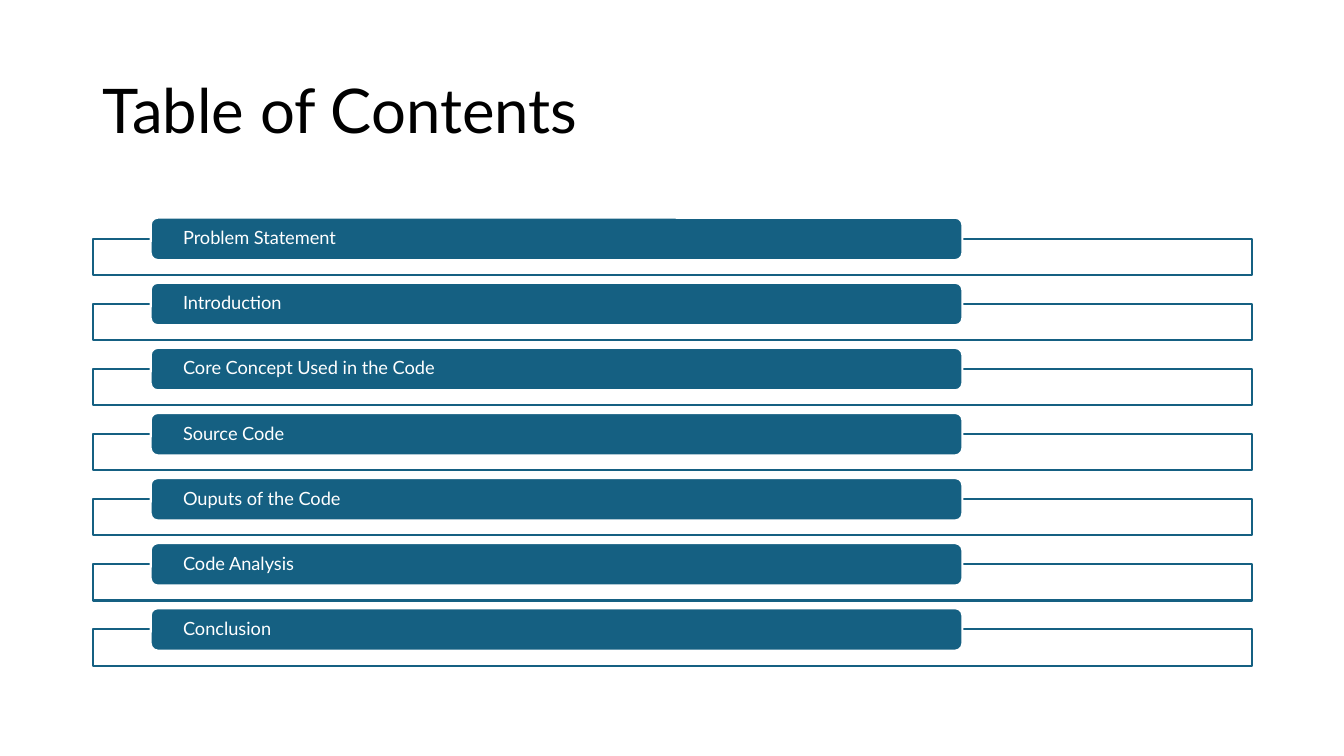
from lxml import etree
from pptx import Presentation
from pptx.dml.color import RGBColor
from pptx.enum.shapes import MSO_SHAPE
from pptx.enum.text import MSO_ANCHOR, MSO_AUTO_SIZE, PP_ALIGN
from pptx.oxml.ns import qn
from pptx.util import Inches, Pt

RECT = MSO_SHAPE.RECTANGLE
ROUNDED = MSO_SHAPE.ROUNDED_RECTANGLE
MIDDLE = MSO_ANCHOR.MIDDLE
LEFT = PP_ALIGN.LEFT
NO_AUTOFIT = MSO_AUTO_SIZE.NONE

BLUE = RGBColor(0x15, 0x60, 0x82)
WHITE = RGBColor(0xFF, 0xFF, 0xFF)
BLACK = RGBColor(0x00, 0x00, 0x00)
FONT = "Lato"
TITLE_LAYOUT = 5

TOPICS = [
    "Problem Statement",
    "Introduction",
    "Core Concept Used in the Code",
    "Source Code",
    "Ouputs of the Code",
    "Code Analysis",
    "Conclusion",
]


def write_text(sp, text, size, color):
    tf = sp.text_frame
    tf.word_wrap = True
    tf.auto_size = NO_AUTOFIT
    tf.vertical_anchor = MIDDLE
    p = tf.paragraphs[0]
    p.alignment = LEFT
    p.line_spacing = 0.9
    r = p.add_run()
    r.text = text
    r.font.name = FONT
    r.font.size = Pt(size)
    r.font.color.rgb = color
    return tf


def add_box(slide, kind, left, top, width, height, fill, line):
    sp = slide.shapes.add_shape(
        kind, Inches(left), Inches(top), Inches(width), Inches(height)
    )
    sp.shadow.inherit = False
    sp.fill.solid()
    sp.fill.fore_color.rgb = fill
    sp.line.color.rgb = line
    sp.line.width = Pt(1.5)
    return sp


def set_opacity(sp, percent):
    color = sp.fill._xPr.find(qn("a:solidFill"))[0]
    etree.SubElement(color, qn("a:alpha"), val=str(percent * 1000))


def add_title(slide, text, left, top, width, height):
    title = slide.shapes.title
    title.left, title.top = Inches(left), Inches(top)
    title.width, title.height = Inches(width), Inches(height)
    write_text(title, text, 44, BLACK)


def add_topic(slide, text, left, top, width):
    frame = add_box(slide, RECT, left, top + 0.21, width, 0.36, WHITE, BLUE)
    set_opacity(frame, 90)
    label = add_box(
        slide, ROUNDED, left + width * 0.05, top, width * 0.7, 0.42, BLUE, WHITE
    )
    tf = write_text(label, text, 13, WHITE)
    tf.margin_left = tf.margin_right = Inches(0.3)
    tf.margin_top = tf.margin_bottom = 0


def add_topic_list(slide, topics, left, top, width, height):
    pitch = height / len(topics)
    for i, text in enumerate(topics):
        add_topic(slide, text, left, top + i * pitch, width)


def main():
    prs = Presentation()
    prs.slide_width, prs.slide_height = Inches(13.33), Inches(7.5)
    slide = prs.slides.add_slide(prs.slide_layouts[TITLE_LAYOUT])
    add_title(slide, "Table of Contents", 0.92, 0.4, 11.5, 1.45)
    add_topic_list(slide, TOPICS, 0.92, 2.16, 11.5, 4.52)
    prs.save("out.pptx")


if __name__ == "__main__":
    main()
